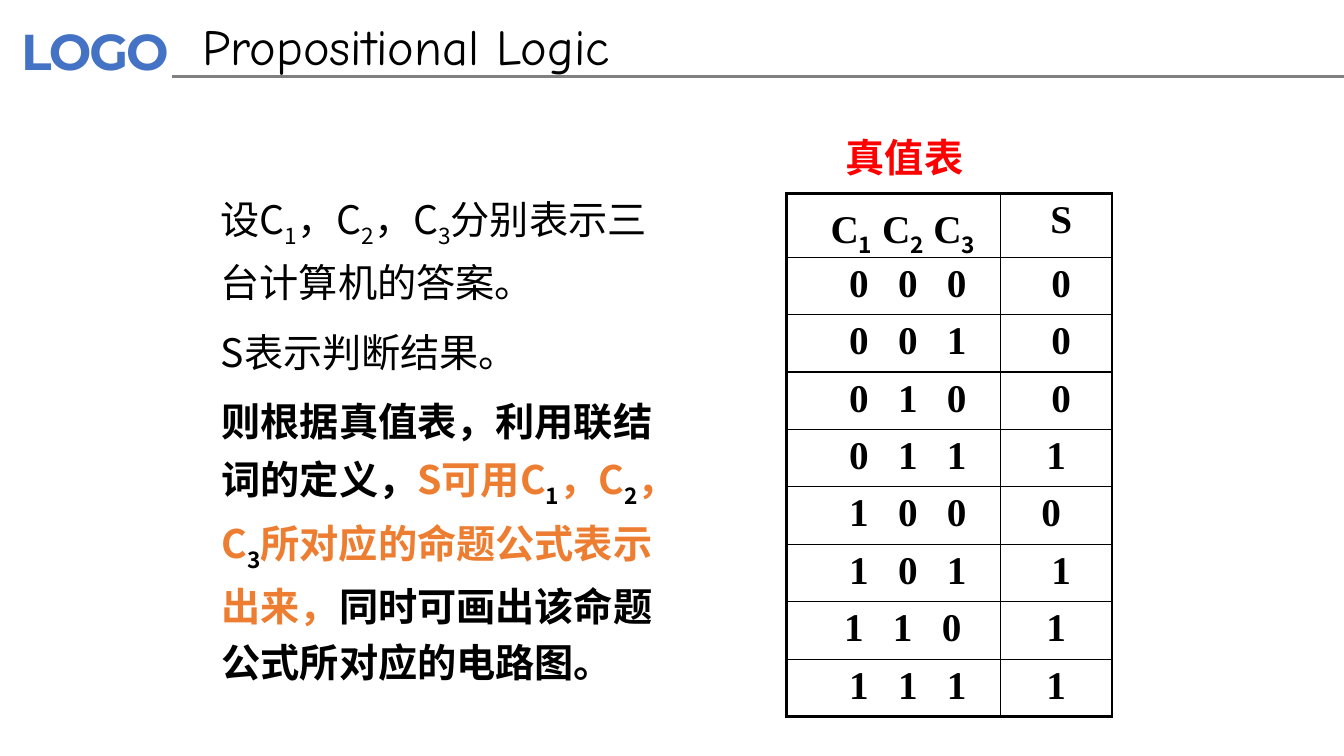
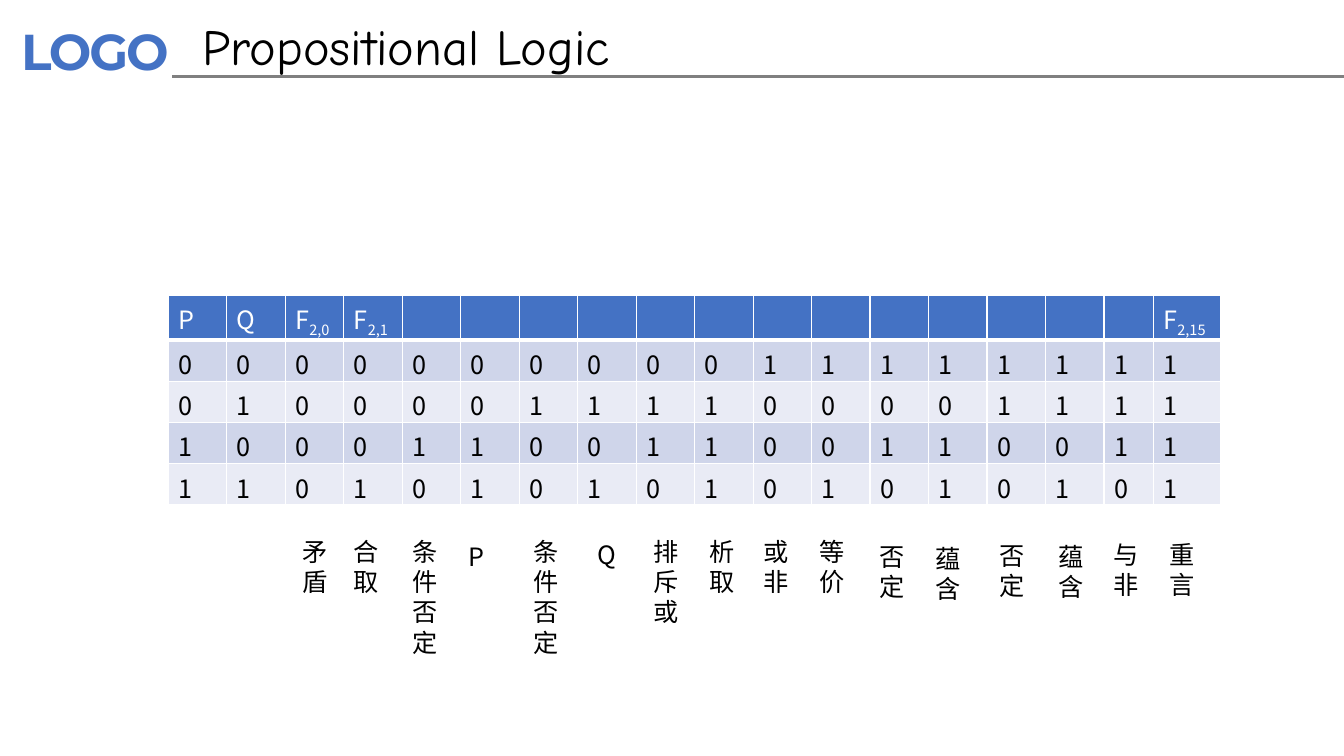
from itertools import product

from lxml.etree import SubElement
from pptx import Presentation
from pptx.dml.color import RGBColor
from pptx.enum.shapes import MSO_CONNECTOR
from pptx.enum.text import MSO_ANCHOR, PP_ALIGN
from pptx.oxml.ns import qn
from pptx.util import Inches, Pt

BLACK = RGBColor(0x00, 0x00, 0x00)
WHITE = RGBColor(0xFF, 0xFF, 0xFF)
GRAY = RGBColor(0x80, 0x80, 0x80)
RED = RGBColor(0xFF, 0x00, 0x00)
ORANGE = RGBColor(0xED, 0x7D, 0x31)
BLUE = RGBColor(0x44, 0x72, 0xC4)
BAND_DARK = RGBColor(0xCF, 0xD5, 0xEA)
BAND_LIGHT = RGBColor(0xE9, 0xEB, 0xF5)

CHINESE = "Noto Sans CJK SC"
LOGO = {"name": "Montserrat", "size": Pt(36), "bold": True}
TITLE = {"name": "Comic Neue", "size": Pt(36)}
BODY = {"name": CHINESE, "size": Pt(28)}
STRONG = {**BODY, "bold": True}
SERIF = {**STRONG, "name": "Times New Roman"}
SMALL = {"name": CHINESE, "size": Pt(18)}


def add_text(paragraph, text, font_format, color=BLACK, subscript_color=None, spacing=0):
    """Add runs to a paragraph; every second piece between bars is a subscript."""
    for index, piece in enumerate(text.split("|")):
        if not piece:
            continue
        is_subscript = index % 2 == 1
        run = paragraph.add_run()
        run.text = piece
        for attribute, value in font_format.items():
            setattr(run.font, attribute, value)
        run.font.color.rgb = (subscript_color or color) if is_subscript else color
        properties = run._r.get_or_add_rPr()
        if is_subscript:
            run.font.name = CHINESE
            properties.set("baseline", "-25000")
        if spacing:
            properties.set("spc", str(int(spacing * 100)))
        SubElement(properties, qn("a:ea")).set("typeface", run.font.name)


def style_cell(cell, fill, border_color, widths):
    """Set the fill and the left, right, top and bottom border widths of a cell."""
    properties = cell._tc.get_or_add_tcPr()
    for edge, width in zip(("lnL", "lnR", "lnT", "lnB"), widths):
        line = SubElement(properties, qn(f"a:{edge}"), w=str(Pt(width)))
        line_fill = SubElement(line, qn("a:solidFill"))
        SubElement(line_fill, qn("a:srgbClr"), val=str(border_color))
    cell.fill.solid()
    cell.fill.fore_color.rgb = fill


presentation = Presentation()
presentation.slide_width = Inches(13.33)
presentation.slide_height = Inches(7.5)
slides = [presentation.slides.add_slide(presentation.slide_layouts[6]) for _ in range(2)]

# Header shared by both slides
for slide in slides:
    logo = slide.shapes.add_textbox(Inches(0.08), Inches(0.13), Inches(1.86), Inches(0.74))
    frame = logo.text_frame
    frame.word_wrap = True
    margins = {"margin_left": 0.13, "margin_right": 0.13, "margin_top": 0.07, "margin_bottom": 0.07}
    for attribute, value in margins.items():
        setattr(frame, attribute, Inches(value))
    add_text(frame.paragraphs[0], "LOGO", LOGO, BLUE, spacing=-1.5)

    rule = slide.shapes.add_connector(
        MSO_CONNECTOR.STRAIGHT, Inches(1.71), Inches(0.76), Inches(13.33), Inches(0.76))
    rule.line.color.rgb = GRAY
    rule.line.width = Pt(2)
    SubElement(rule._element.spPr, qn("a:effectLst"))

    title = slide.shapes.add_textbox(Inches(1.91), Inches(0.1), Inches(6.3), Inches(0.71))
    title.text_frame.word_wrap = True
    add_text(title.text_frame.paragraphs[0], "Propositional Logic", TITLE)

# Slide 1: explanation; each paragraph is a list of (text, colour) spans
voting_slide, functions_slide = slides
explanations = [
    ((2.09, 1.78, 4.58, 1.97), BODY, {"line_spacing": 1.2, "space_before": Pt(10)}, True, [
        [("设C|1|，C|2|，C|3|分别表示三台计算机的答案。", BLACK)],
        [("S表示判断结果。", BLACK)],
    ]),
    ((8.29, 1.27, 1.37, 0.57), STRONG, {}, False, [[("真值表", RED)]]),
    ((2.1, 3.8, 4.8, 2.9), STRONG, {"line_spacing": 1.2, "space_before": Pt(6)}, True, [
        [("则根据真值表，利用联结词的定义，", BLACK),
         ("S可用C|1|，C|2|，C|3|所对应的命题公式表示出来，", ORANGE),
         ("同时可画出该命题公式所对应的电路图。", BLACK)],
    ]),
]
for position, font_format, paragraph_format, wrap, paragraphs in explanations:
    shape = voting_slide.shapes.add_textbox(*map(Inches, position))
    shape.fill.solid()
    shape.fill.fore_color.rgb = WHITE
    frame = shape.text_frame
    frame.word_wrap = wrap
    for index, spans in enumerate(paragraphs):
        paragraph = frame.add_paragraph() if index else frame.paragraphs[0]
        for attribute, value in paragraph_format.items():
            setattr(paragraph, attribute, value)
        for text, color in spans:
            add_text(paragraph, text, font_format, color, subscript_color=BLACK)

# Slide 1: truth table of the majority vote; left margins nudge the centred text
voting_rows = [("C|1| C|2| C|3", "S")]
for answers in product((0, 1), repeat=3):
    voting_rows.append((" ".join(map(str, answers)), str(int(sum(answers) >= 2))))
answer_margins = [0.29] + [0.39] * 6 + [0.29, 0.39]
result_margins = [0.2, 0.2, 0.2, 0.2, 0.1, 0, 0.2, 0.1, 0.1]

voting_table = voting_slide.shapes.add_table(
    9, 2, Inches(7.8), Inches(1.92), Inches(3.23), Inches(5.13)).table
voting_table.first_row = voting_table.horz_banding = False
for column, width in zip(voting_table.columns, (2.12, 1.11)):
    column.width = Inches(width)
for row_index, texts in enumerate(voting_rows):
    voting_table.rows[row_index].height = Inches(0.57)
    row_margins = answer_margins[row_index], result_margins[row_index]
    for column_index, text in enumerate(texts):
        cell = voting_table.cell(row_index, column_index)
        outer_edges = (column_index == 0, column_index == 1, row_index == 0, row_index == 8)
        style_cell(cell, WHITE, BLACK, [2.25 if outer else 1 for outer in outer_edges])
        cell.vertical_anchor = MSO_ANCHOR.TOP
        cell.margin_left = Inches(row_margins[column_index])
        paragraph = cell.text_frame.paragraphs[0]
        paragraph.alignment = PP_ALIGN.CENTER
        is_answer = row_index > 0 and column_index == 0
        add_text(paragraph, text, SERIF, spacing=7 if is_answer else 0)

# Slide 2: the 16 functions of two variables; function k lists the bits of k
function_names = [f"F|2,{k}" if k in (0, 1, 15) else "" for k in range(16)]
function_rows = [["P", "Q"] + function_names]
for row_index, inputs in enumerate(product((0, 1), repeat=2)):
    outputs = [k >> (3 - row_index) & 1 for k in range(16)]
    function_rows.append([str(value) for value in (*inputs, *outputs)])

functions_table = functions_slide.shapes.add_table(
    5, 18, Inches(1.67), Inches(2.93), Inches(10.44), Inches(2.05)).table
functions_table.first_row = functions_table.horz_banding = False
for column, width in zip(functions_table.columns, [0.58] * 16 + [0.49, 0.67]):
    column.width = Inches(width)
for row_index, texts in enumerate(function_rows):
    functions_table.rows[row_index].height = Inches(0.41)
    is_header = row_index == 0
    fill = BLUE if is_header else (BAND_LIGHT, BAND_DARK)[row_index % 2]
    for column_index, text in enumerate(texts):
        cell = functions_table.cell(row_index, column_index)
        style_cell(cell, fill, WHITE, (1, 1, 1, 3 if is_header else 1))
        add_text(cell.text_frame.paragraphs[0], text, SMALL, WHITE if is_header else BLACK)

# Slide 2: names of the functions, one character a line
function_labels = [
    (2.9, 5.27, "矛盾"), (3.41, 5.27, "合取"), (3.99, 5.27, "条件否定"), (4.55, 5.32, "P"),
    (5.19, 5.27, "条件否定"), (5.83, 5.3, "Q"), (6.38, 5.27, "排斥或"), (6.94, 5.27, "析取"),
    (7.47, 5.27, "或非"), (8.03, 5.27, "等价"), (8.62, 5.32, "否定"), (9.18, 5.34, "蕴含"),
    (9.81, 5.31, "否定"), (10.4, 5.32, "蕴含"), (10.95, 5.3, "与非"), (11.5, 5.3, "重言"),
]
for left, top, text in function_labels:
    height = 0.1 + 0.3 * len(text)
    label = functions_slide.shapes.add_textbox(
        Inches(left), Inches(top), Inches(0.38), Inches(height))
    label.text_frame.word_wrap = True
    add_text(label.text_frame.paragraphs[0], text, SMALL)

presentation.save("out.pptx")
